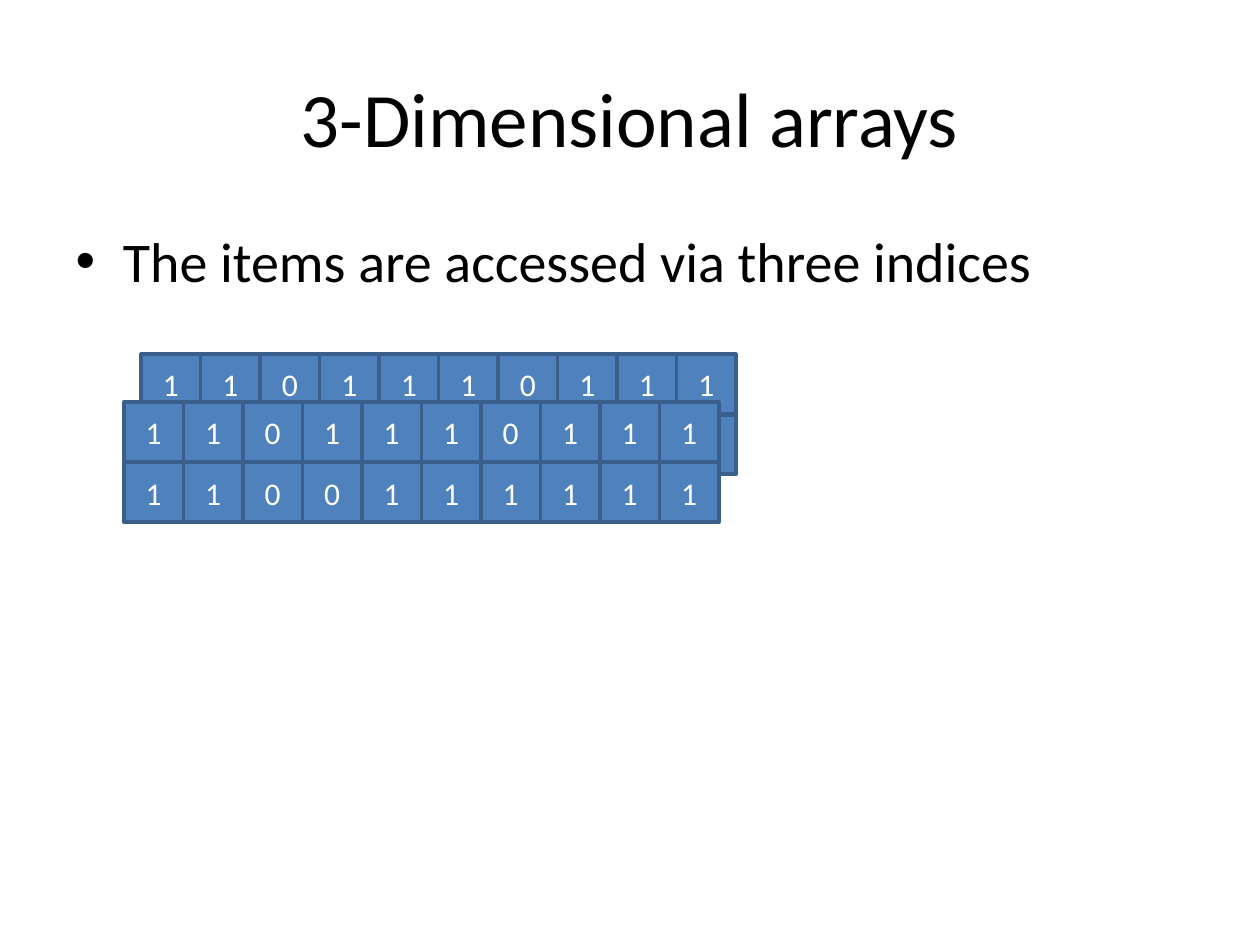
import dataclasses

import pptx
import pptx.dml.color
import pptx.enum.shapes
import pptx.enum.text
import pptx.util

Pt = pptx.util.Pt
Color = pptx.dml.color.RGBColor
Align = pptx.enum.text.PP_ALIGN
Anchor = pptx.enum.text.MSO_ANCHOR


@dataclasses.dataclass(frozen=True)
class Theme:
    font: str = "Calibri"
    ink: str = "000000"
    cell_ink: str = "FFFFFF"
    cell_fill: str = "4F81BD"
    cell_line: str = "3A5F8C"
    title_size: float = 44
    body_size: float = 32
    cell_size: float = 18
    line_width: float = 2


@dataclasses.dataclass(frozen=True)
class Layer:
    left: float
    top: float
    rows: tuple[str, ...]


THEME = Theme()
CELL = 34
ROW_PITCH = 34.6
LAYERS = (
    Layer(80.6, 202.4, ("1101110111", " " * 10)),
    Layer(70.8, 229.8, ("1101110111", "1100111111")),
)


def add_text(frame, text: str, size: float, color: str, align: Align, anchor: Anchor) -> None:
    frame.word_wrap = True
    frame.vertical_anchor = anchor
    para = frame.paragraphs[0]
    para.alignment = align
    span = para.add_run()
    span.text = text
    span.font.name = THEME.font
    span.font.size = Pt(size)
    span.font.color.rgb = Color.from_string(color)


def place(box, left: float, top: float, width: float, height: float) -> None:
    box.left, box.top, box.width, box.height = map(Pt, (left, top, width, height))


def draw_cell(group, left: float, top: float, digit: str) -> None:
    cell = group.shapes.add_shape(
        pptx.enum.shapes.MSO_SHAPE.RECTANGLE, Pt(left), Pt(top), Pt(CELL), Pt(CELL)
    )
    cell.shadow.inherit = False
    cell.fill.solid()
    cell.fill.fore_color.rgb = Color.from_string(THEME.cell_fill)
    cell.line.color.rgb = Color.from_string(THEME.cell_line)
    cell.line.width = Pt(THEME.line_width)
    if digit.strip():
        add_text(cell.text_frame, digit, THEME.cell_size, THEME.cell_ink, Align.CENTER, Anchor.MIDDLE)


def draw_layer(page, layer: Layer) -> None:
    group = page.shapes.add_group_shape()
    for row, digits in enumerate(layer.rows):
        for column, digit in enumerate(digits):
            draw_cell(group, layer.left + column * CELL, layer.top + row * ROW_PITCH, digit)


def main() -> None:
    deck = pptx.Presentation()
    deck.slide_width, deck.slide_height = Pt(720), Pt(540)
    page = deck.slides.add_slide(deck.slide_layouts[1])
    title, body = page.shapes.title, page.placeholders[1]
    place(title, 36, 21.6, 648, 90)
    place(body, 36, 126, 648, 356.4)
    add_text(title.text_frame, "3-Dimensional arrays", THEME.title_size, THEME.ink, Align.CENTER, Anchor.MIDDLE)
    add_text(
        body.text_frame, "The items are accessed via three indices",
        THEME.body_size, THEME.ink, Align.LEFT, Anchor.TOP,
    )
    for layer in LAYERS:
        draw_layer(page, layer)
    deck.save("out.pptx")


main()
